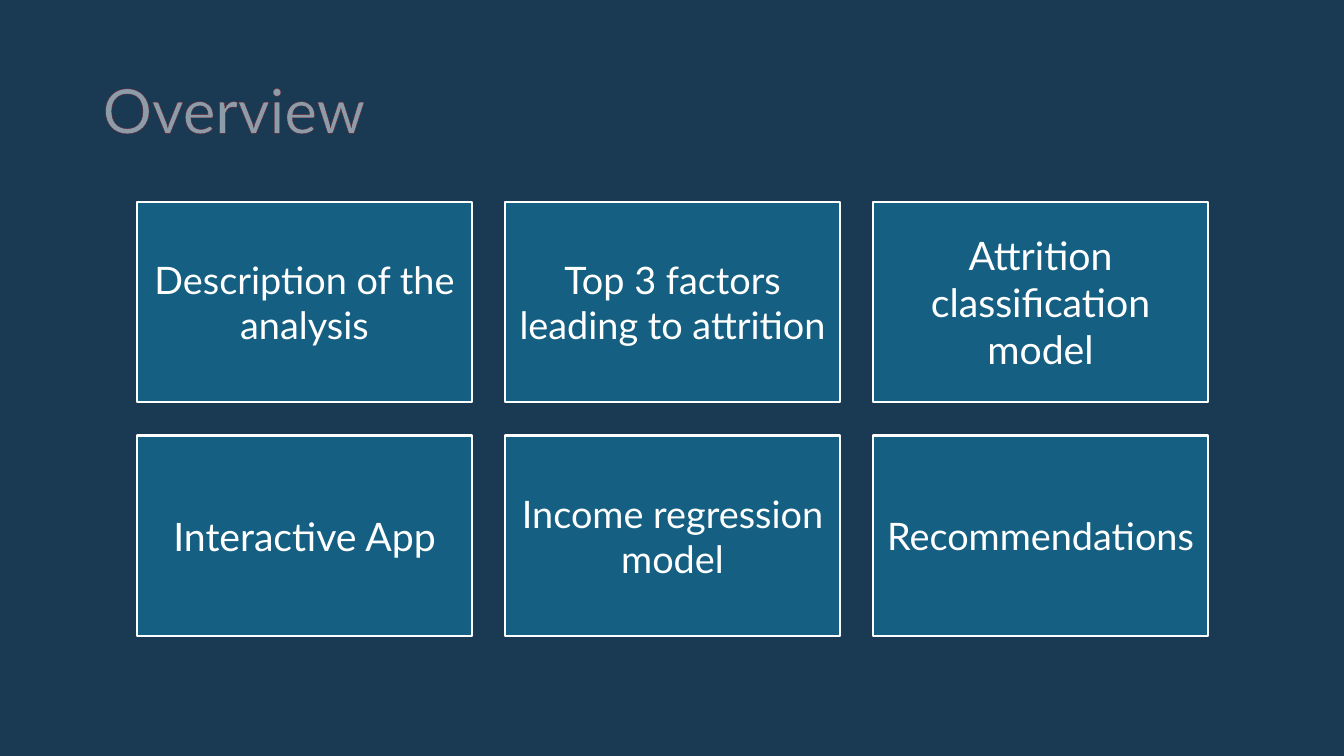
from lxml import etree
from pptx import Presentation
from pptx.dml.color import RGBColor
from pptx.enum.shapes import MSO_SHAPE
from pptx.enum.text import MSO_ANCHOR, PP_ALIGN
from pptx.oxml.ns import qn
from pptx.util import Inches, Pt

RECTANGLE = MSO_SHAPE.RECTANGLE
MIDDLE = MSO_ANCHOR.MIDDLE
LEFT, CENTER = PP_ALIGN.LEFT, PP_ALIGN.CENTER

FONT = "Lato"
NAVY, TEAL, WHITE, RED = "1A3A54", "156082", "FFFFFF", "C00000"
COLUMNS = 3
GAP = 0.33
TOPICS = [
    ("Description of the analysis", 27),
    ("Top 3 factors leading to attrition", 27),
    ("Attrition classification model", 28),
    ("Interactive App", 28),
    ("Income regression model", 27),
    ("Recommendations", 27),
]


def color(value):
    return RGBColor.from_string(value)


def write(shape, text, size, align, inset):
    frame = shape.text_frame
    frame.word_wrap = True
    frame.vertical_anchor = MIDDLE
    frame.margin_left = frame.margin_right = Inches(inset)
    para = frame.paragraphs[0]
    para.alignment = align
    span = para.add_run()
    span.text = text
    span.font.name = FONT
    span.font.size = Pt(size)
    span.font.color.rgb = color(WHITE)
    return para, span


def outline(span, value, width, opacity):
    """Draw a thin, partly transparent line around the letters."""
    line = etree.Element(qn("a:ln"), w=str(Pt(width)))
    fill = etree.SubElement(line, qn("a:solidFill"))
    tint = etree.SubElement(fill, qn("a:srgbClr"), val=value)
    etree.SubElement(tint, qn("a:alpha"), val=str(opacity * 1000))
    span.font._element.insert(0, line)


def add_title(page, left, top, width, height):
    box = page.shapes.add_textbox(*map(Inches, (left, top, width, height)))
    para, span = write(box, "Overview", 44, LEFT, 0.1)
    para.line_spacing = 0.9
    outline(span, RED, 0.25, 50)


def add_topics(page, left, top, width, height):
    rows = len(TOPICS) // COLUMNS
    card_width = (width - GAP * (COLUMNS - 1)) / COLUMNS
    card_height = (height - GAP * (rows - 1)) / rows
    for index, (text, size) in enumerate(TOPICS):
        row, column = divmod(index, COLUMNS)
        card = page.shapes.add_shape(
            RECTANGLE,
            Inches(left + column * (card_width + GAP)),
            Inches(top + row * (card_height + GAP)),
            Inches(card_width),
            Inches(card_height),
        )
        card.shadow.inherit = False
        card.fill.solid()
        card.fill.fore_color.rgb = color(TEAL)
        card.line.color.rgb = color(WHITE)
        card.line.width = Pt(1.5)
        write(card, text, size, CENTER, 0.12)


def main():
    deck = Presentation()
    deck.slide_width, deck.slide_height = Inches(13.33), Inches(7.5)
    page = deck.slides.add_slide(deck.slide_layouts[6])
    page.background.fill.solid()
    page.background.fill.fore_color.rgb = color(NAVY)
    add_title(page, 0.92, 0.4, 11.5, 1.45)
    add_topics(page, 1.36, 2, 10.62, 4.31)
    deck.save("out.pptx")


if __name__ == "__main__":
    main()
